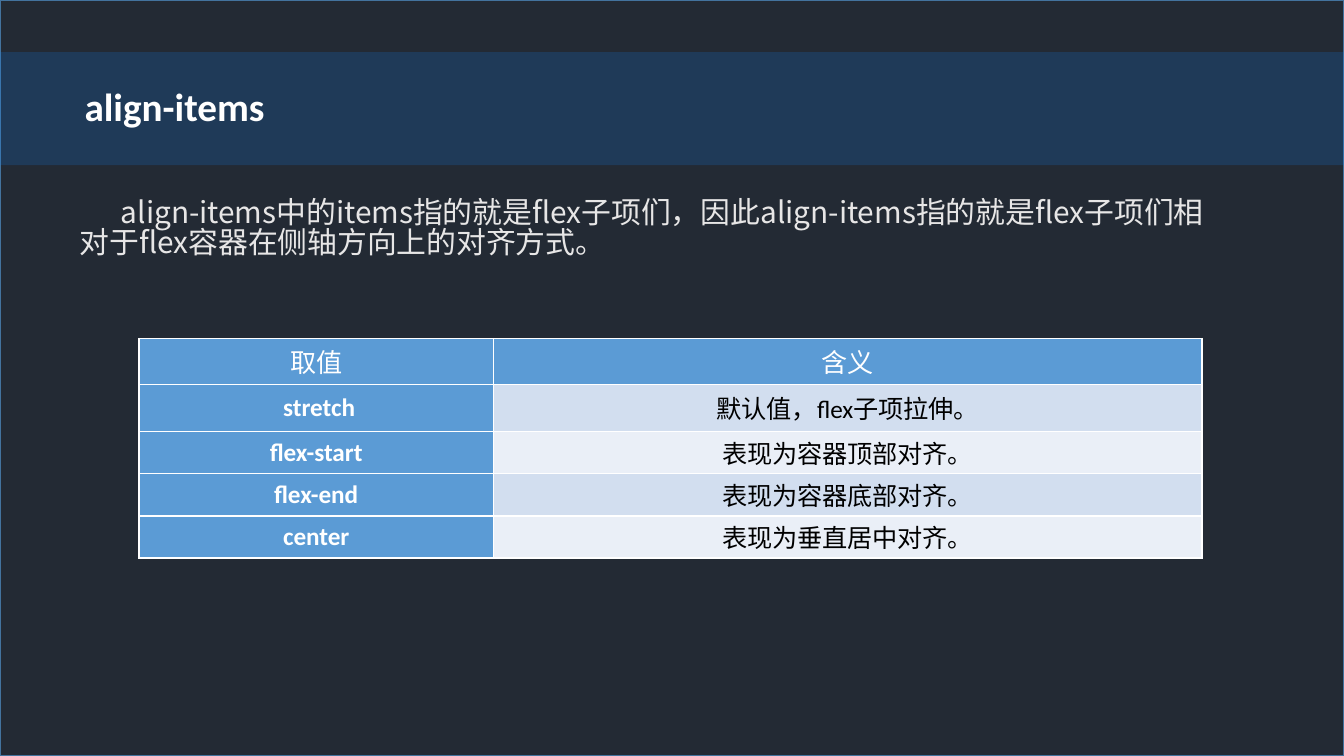
from lxml.etree import SubElement
from pptx import Presentation
from pptx.dml.color import RGBColor
from pptx.enum.shapes import MSO_SHAPE
from pptx.enum.text import MSO_ANCHOR, PP_ALIGN
from pptx.oxml.ns import qn
from pptx.util import Pt

WIDTH, HEIGHT = 720, 405
WHITE, BLACK, BLUE = "FFFFFF", "000000", "5B9BD5"
STRIPES = ("D2DEEF", "EAEFF7")
CJK_FONT = "Noto Sans CJK SC"
ROW_HEIGHTS = (24.6, 25.2, 22.6, 22.6, 22.6)
COLUMN_WIDTHS = (190, 379.5)
HEADINGS = ("取值", "含义")
VALUES = (
    (" ", "stretch", "默认值，flex子项拉伸。"),
    ("", "flex-start", "表现为容器顶部对齐。"),
    ("", "flex-end", "表现为容器底部对齐。"),
    ("", "center", "表现为垂直居中对齐。"),
)


def paint(fill, color):
    fill.solid()
    fill.fore_color.rgb = RGBColor.from_string(color)


def add_run(paragraph, text, size, color, bold=False, font="Calibri"):
    run = paragraph.add_run()
    run.text = text
    run.font.size = Pt(size)
    run.font.bold = bold
    run.font.name = font
    paint(run.font.fill, color)
    SubElement(run.font._element, qn("a:ea")).set("typeface", CJK_FONT)


def add_band(slide, top, height, color, outline=None, opacity=100):
    band = slide.shapes.add_shape(
        MSO_SHAPE.RECTANGLE, Pt(0), Pt(top), Pt(WIDTH), Pt(height))
    band.shadow.inherit = False
    paint(band.fill, color)
    if outline:
        paint(band.line.fill, outline)
        band.line.width = Pt(1)
    else:
        band.line.fill.background()
    if opacity < 100:
        tint = band._element.spPr.find(".//" + qn("a:srgbClr"))
        SubElement(tint, qn("a:alpha")).set("val", str(opacity * 1000))


def add_text(slide, left, top, width, height):
    box = slide.shapes.add_textbox(Pt(left), Pt(top), Pt(width), Pt(height))
    box.text_frame.word_wrap = True
    return box.text_frame.paragraphs[0]


def add_borders(cell, color):
    properties = cell._tc.get_or_add_tcPr()
    for position, side in enumerate(("a:lnL", "a:lnR", "a:lnT", "a:lnB")):
        border = properties.makeelement(qn(side), {"w": str(Pt(1))})
        solid = SubElement(border, qn("a:solidFill"))
        SubElement(solid, qn("a:srgbClr")).set("val", color)
        properties.insert(position, border)


def style_cell(cell, color):
    paint(cell.fill, color)
    add_borders(cell, WHITE)
    cell.vertical_anchor = MSO_ANCHOR.MIDDLE
    cell.margin_left = cell.margin_right = Pt(8.64)
    cell.margin_top = cell.margin_bottom = Pt(0)
    paragraph = cell.text_frame.paragraphs[0]
    paragraph.alignment = PP_ALIGN.CENTER
    return paragraph


def add_value_table(slide):
    table = slide.shapes.add_table(
        len(ROW_HEIGHTS), len(COLUMN_WIDTHS), Pt(74.4), Pt(181.4),
        Pt(sum(COLUMN_WIDTHS)), Pt(sum(ROW_HEIGHTS))).table
    for column, width in zip(table.columns, COLUMN_WIDTHS):
        column.width = Pt(width)
    for row, height in zip(table.rows, ROW_HEIGHTS):
        row.height = Pt(height)
    for column, heading in enumerate(HEADINGS):
        add_run(style_cell(table.cell(0, column), BLUE), heading, 14, WHITE)
    for row, (lead, value, meaning) in enumerate(VALUES, start=1):
        name = style_cell(table.cell(row, 0), BLUE)
        if lead:
            add_run(name, lead, 14, WHITE, bold=True)
        add_run(name, value, 13.5, WHITE, bold=True)
        stripe = STRIPES[(row - 1) % 2]
        add_run(style_cell(table.cell(row, 1), stripe), meaning, 13.5, BLACK)


def main():
    """Build the align-items slide and save it."""
    deck = Presentation()
    deck.slide_width, deck.slide_height = Pt(WIDTH), Pt(HEIGHT)
    slide = deck.slides.add_slide(deck.slide_layouts[6])
    add_band(slide, 0, HEIGHT, "232A34", outline="43739E")
    add_band(slide, 28, 60.5, "137EEC", opacity=20)
    explanation = add_text(slide, 35.7, 103.7, 617, 94)
    explanation.line_spacing = 0.83
    explanation._p.get_or_add_pPr().set("indent", str(Pt(22)))
    add_run(explanation,
            "align-items中的items指的就是flex子项们，因此align-items指的就是"
            "flex子项们相对于flex容器在侧轴方向上的对齐方式。",
            16, "E7E6E6", font=CJK_FONT)
    title = add_text(slide, 38.2, 40.3, 662, 32.4)
    add_run(title, "align-items", 21, WHITE, bold=True)
    add_value_table(slide)
    deck.save("out.pptx")


if __name__ == "__main__":
    main()
